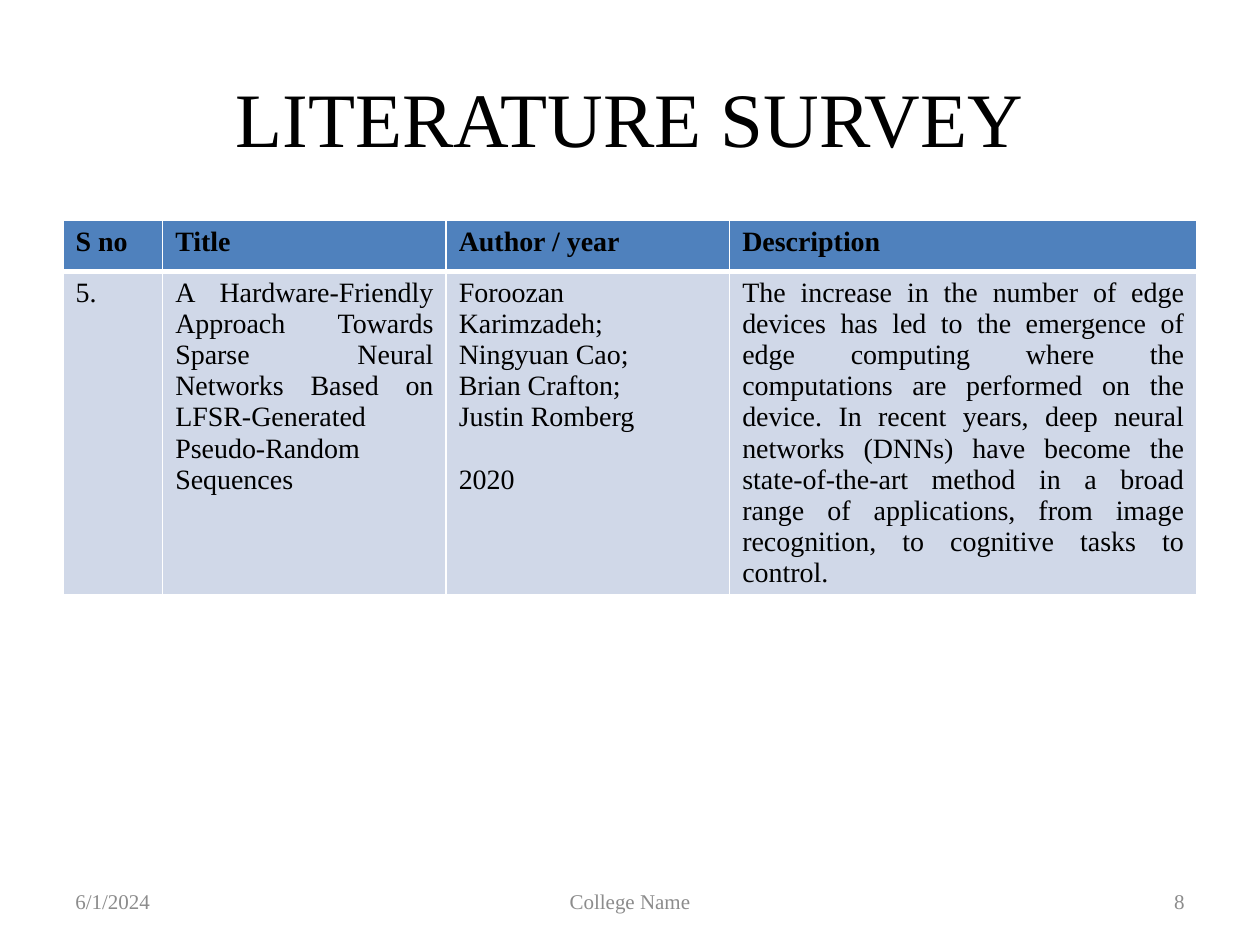
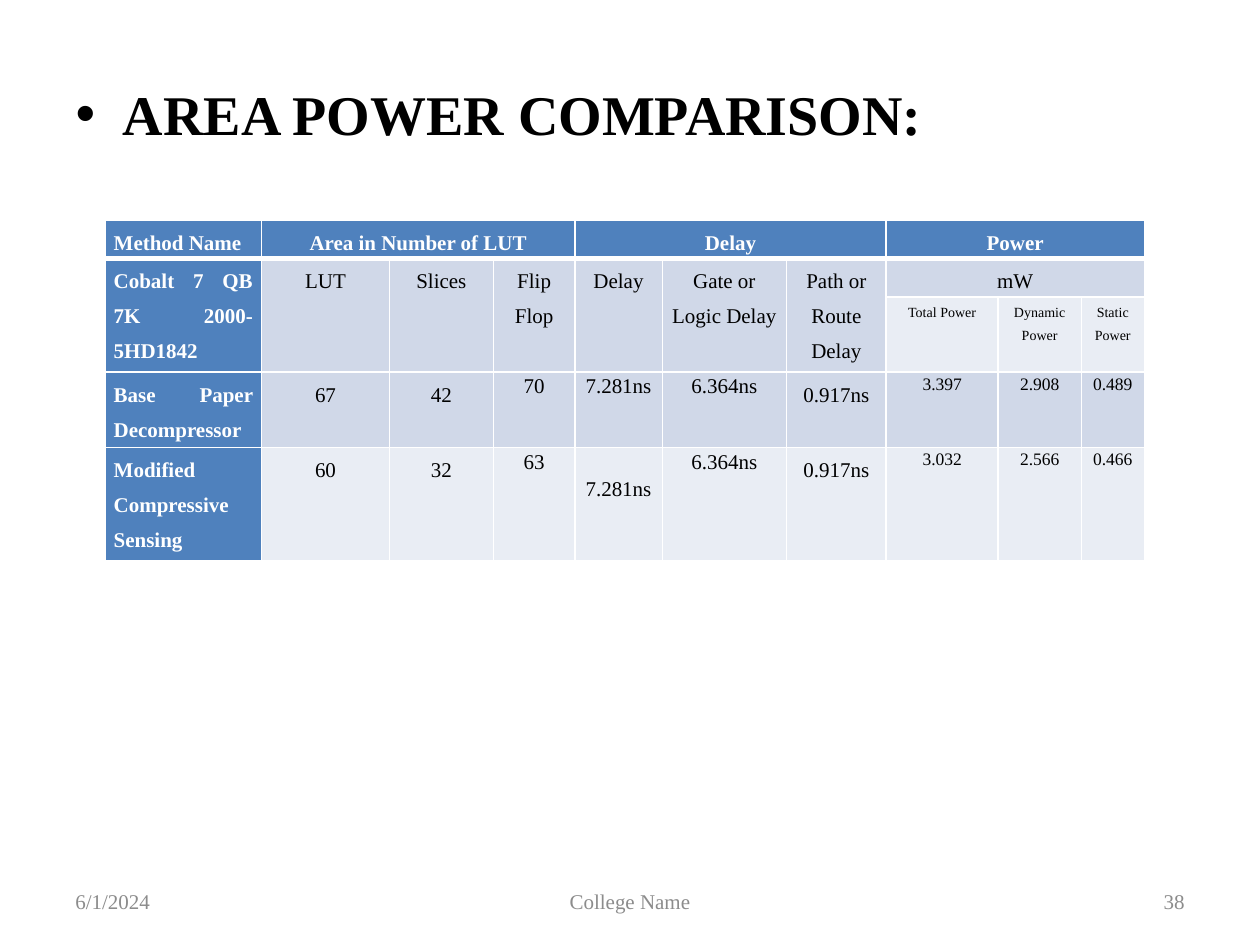
import pptx
import pptx.util
import pptx.dml.color
import pptx.enum.text
import pptx.oxml.ns
from lxml import etree

Pt = pptx.util.Pt
ALIGN = pptx.enum.text.PP_ALIGN
ANCHOR = pptx.enum.text.MSO_ANCHOR

COLOURS = {
    "header": "4F81BD",
    "band": "D0D8E8",
    "light band": "E9EDF4",
    "text": "000000",
    "reversed text": "FFFFFF",
    "border": "FFFFFF",
    "footer": "8C8C8C",
}
FONT = "Times New Roman"
TITLE_ONLY = 5

SURVEY_COLUMNS = [57, 162, 162, 267]
SURVEY_ROWS = [29, 185]
SURVEY = [
    ["S no", "Title", "Author / year", "Description"],
    [
        "5.",
        "A Hardware-Friendly Approach Towards Sparse Neural Networks Based on "
        "LFSR-Generated Pseudo-Random Sequences",
        "Foroozan\vKarimzadeh;\nNingyuan Cao;\nBrian Crafton;\nJustin Romberg\n2020",
        "The increase in the number of edge devices has led to the emergence of edge "
        "computing where the computations are performed on the device. In recent years, "
        "deep neural networks (DNNs) have become the state-of-the-art method in a broad "
        "range of applications, from image recognition, to cognitive tasks to control.",
    ],
]

COMPARISON_COLUMNS = [89.5, 73, 59.5, 46.5, 50, 71, 57, 64, 47.5, 36]
COMPARISON_ROWS = [21.5, 22, 24, 23, 23]
COMPARISON_HEIGHT = 187
COMPARISON = [
    ["Method Name", "Area in Number of LUT", "", "", "Delay", "", "", "Power", "", ""],
    ["Cobalt 7 QB 7K 2000-5HD1842", "LUT", "Slices", "Flip Flop", "Delay",
     "Gate or Logic Delay", "Path or Route Delay", "mW", "", ""],
    ["", "", "", "", "", "", "", "Total Power", "Dynamic Power", "Static Power"],
    ["Base Paper Decompressor", "67", "42", "70", "7.281ns", "6.364ns", "0.917ns",
     "3.397", "2.908", "0.489"],
    ["Modified Compressive Sensing", "60", "32", "63", "7.281ns", "6.364ns", "0.917ns",
     "3.032", "2.566", "0.466"],
]
COMPARISON_BANDS = ["header", "band", "light band", "band", "light band"]
FIRST_POWER_COLUMN = 7
LOOSE_COLUMNS = (0, 1, 2, 6)


def format_text(text_frame, size, colour, bold=False, alignment=ALIGN.LEFT, spacing=None):
    for paragraph in text_frame.paragraphs:
        paragraph.alignment = alignment
        if spacing:
            paragraph.line_spacing = spacing
        for run in paragraph.runs:
            run.font.name = FONT
            run.font.size = Pt(size)
            run.font.bold = bold
            run.font.color.rgb = pptx.dml.color.RGBColor.from_string(COLOURS[colour])


def set_cell(cell, fill, top_width, bottom_width):
    properties = cell._tc.get_or_add_tcPr()
    for side, width in (("L", 1), ("R", 1), ("T", top_width), ("B", bottom_width)):
        line = etree.SubElement(properties, pptx.oxml.ns.qn(f"a:ln{side}"), w=str(Pt(width)))
        solid = etree.SubElement(line, pptx.oxml.ns.qn("a:solidFill"))
        etree.SubElement(solid, pptx.oxml.ns.qn("a:srgbClr"), val=COLOURS["border"])
    cell.fill.solid()
    cell.fill.fore_color.rgb = pptx.dml.color.RGBColor.from_string(COLOURS[fill])


def add_grid(slide, left, top, height, columns, rows, texts, bands):
    table = slide.shapes.add_table(
        len(rows), len(columns), Pt(left), Pt(top), Pt(sum(columns)), Pt(height)
    ).table
    table.horz_banding = False
    for column, width in zip(table.columns, columns):
        column.width = Pt(width)
    for row_index, row_height in enumerate(rows):
        table.rows[row_index].height = Pt(row_height)
        for column_index, text in enumerate(texts[row_index]):
            cell = table.cell(row_index, column_index)
            set_cell(cell, bands[row_index], 3 if row_index == 1 else 1, 3 if row_index == 0 else 1)
            cell.text_frame.text = text
    return table


def add_title(slide, text, left, top, width, height, anchor):
    title = slide.shapes.title
    title.left, title.top, title.width, title.height = Pt(left), Pt(top), Pt(width), Pt(height)
    text_frame = title.text_frame
    text_frame.text = text
    text_frame.word_wrap = True
    text_frame.auto_size = pptx.enum.text.MSO_AUTO_SIZE.NONE
    text_frame.vertical_anchor = anchor
    return text_frame


def add_bullet(paragraph, indent):
    properties = paragraph._p.get_or_add_pPr()
    properties.set("marL", str(Pt(indent)))
    properties.set("indent", str(-Pt(indent)))
    etree.SubElement(properties, pptx.oxml.ns.qn("a:buFont"), typeface="Arial")
    etree.SubElement(properties, pptx.oxml.ns.qn("a:buChar"), char="•")


def add_footer(slide, number, left=36, top=500.5, width=648, height=28.75):
    side_width, middle_width = 168, 228
    parts = (
        ("6/1/2024", left, side_width, ALIGN.LEFT),
        ("College Name", left + (width - middle_width) / 2, middle_width, ALIGN.CENTER),
        (str(number), left + width - side_width, side_width, ALIGN.RIGHT),
    )
    for text, part_left, part_width, alignment in parts:
        box = slide.shapes.add_textbox(Pt(part_left), Pt(top), Pt(part_width), Pt(height))
        box.text_frame.text = text
        box.text_frame.word_wrap = True
        box.text_frame.vertical_anchor = ANCHOR.MIDDLE
        format_text(box.text_frame, 12, "footer", alignment=alignment)


def add_survey_table(slide, left, top):
    table = add_grid(slide, left, top, sum(SURVEY_ROWS), SURVEY_COLUMNS, SURVEY_ROWS, SURVEY,
                     ["header", "band"])
    for row_index, row in enumerate(table.rows):
        for cell in row.cells:
            format_text(cell.text_frame, 16, "text", row_index == 0, ALIGN.JUSTIFY)
    year = table.cell(1, 2).text_frame.paragraphs[-1]
    year.space_before = Pt(18)


def add_comparison_table(slide, left, top):
    table = add_grid(slide, left, top, COMPARISON_HEIGHT, COMPARISON_COLUMNS, COMPARISON_ROWS,
                     COMPARISON, COMPARISON_BANDS)
    for row_index, row in enumerate(table.rows):
        for column_index, cell in enumerate(row.cells):
            cell.margin_left = cell.margin_right = Pt(5)
            cell.margin_top = cell.margin_bottom = 0
            is_method = column_index == 0
            is_heading = is_method or row_index == 0
            is_result = row_index > 2
            size = 12
            if row_index == 2:
                size = 8
            elif is_result and column_index >= FIRST_POWER_COLUMN:
                size = 10
            format_text(
                cell.text_frame,
                size,
                "reversed text" if is_heading else "text",
                is_heading,
                ALIGN.JUSTIFY if is_method else ALIGN.CENTER,
                1.15 if is_result and column_index not in LOOSE_COLUMNS else 1.5,
            )
            if is_method:
                cell.fill.fore_color.rgb = pptx.dml.color.RGBColor.from_string(COLOURS["header"])
    table.cell(4, 4).margin_top = Pt(15.5)
    for first_column in (1, 4, 7):
        table.cell(0, first_column).merge(table.cell(0, first_column + 2))
    for column_index in range(FIRST_POWER_COLUMN):
        table.cell(1, column_index).merge(table.cell(2, column_index))
    table.cell(1, FIRST_POWER_COLUMN).merge(table.cell(1, FIRST_POWER_COLUMN + 2))


def build_survey_slide(slide):
    title = add_title(slide, "LITERATURE SURVEY", 36, 21.5, 648, 90, ANCHOR.MIDDLE)
    format_text(title, 44, "text", alignment=ALIGN.CENTER)
    add_survey_table(slide, 36, 126)
    add_footer(slide, 8)


def build_comparison_slide(slide):
    title = add_title(slide, "AREA POWER COMPARISON:", 36, 42, 648, 356, ANCHOR.TOP)
    format_text(title, 32, "text", bold=True)
    title.paragraphs[0].space_before = Pt(4)
    add_bullet(title.paragraphs[0], 27)
    add_footer(slide, 38)
    add_comparison_table(slide, 60, 126)


def main():
    presentation = pptx.Presentation()
    presentation.slide_width, presentation.slide_height = Pt(720), Pt(540)
    for build_slide in (build_survey_slide, build_comparison_slide):
        build_slide(presentation.slides.add_slide(presentation.slide_layouts[TITLE_ONLY]))
    presentation.save("out.pptx")


if __name__ == "__main__":
    main()
